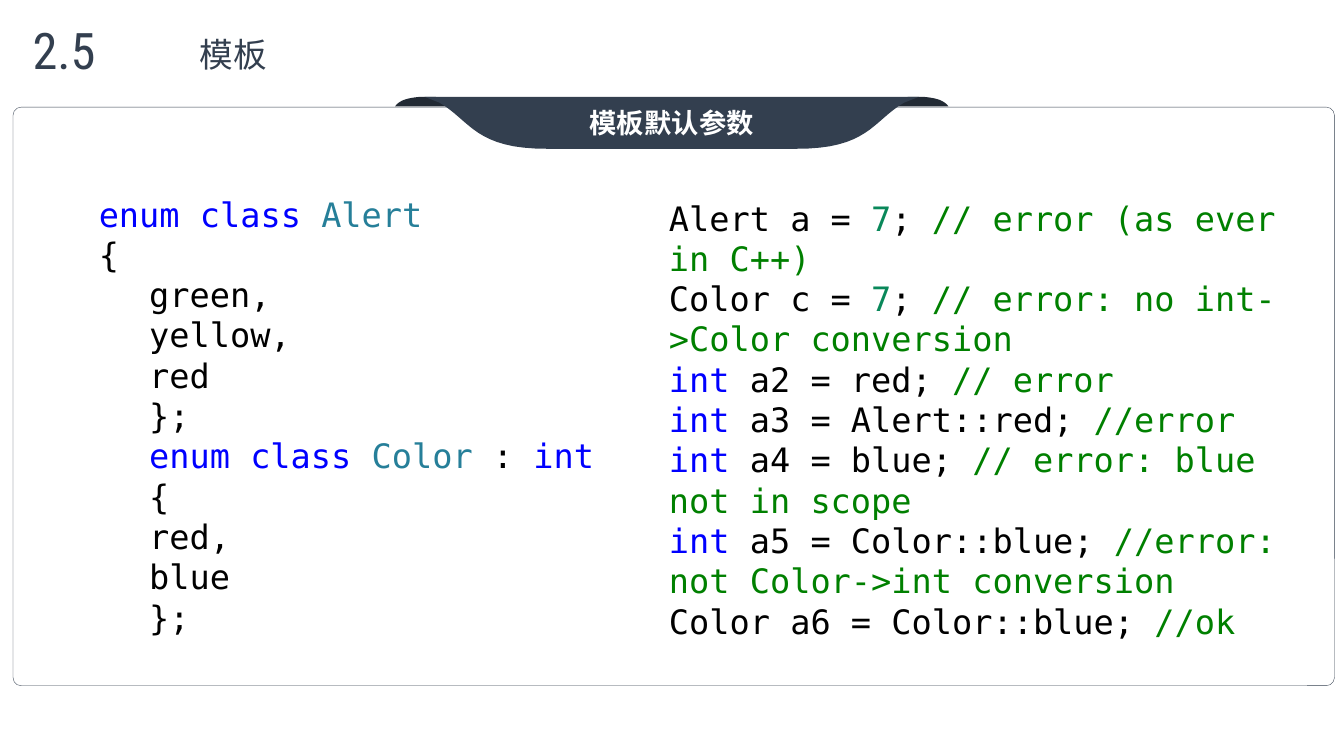
from pptx import Presentation
from pptx.dml.color import RGBColor
from pptx.enum.shapes import MSO_SHAPE
from pptx.enum.text import MSO_ANCHOR, PP_ALIGN
from pptx.oxml.ns import qn
from pptx.util import Cm, Pt
from lxml import etree

ROUND = MSO_SHAPE.ROUNDED_RECTANGLE
MIDDLE = MSO_ANCHOR.MIDDLE
LEFT, CENTER = PP_ALIGN.LEFT, PP_ALIGN.CENTER

NAVY = RGBColor(0x33, 0x3F, 0x4F)
DARK = RGBColor(0x22, 0x2A, 0x34)
WHITE = RGBColor(0xFF, 0xFF, 0xFF)
BLACK = RGBColor(0x00, 0x00, 0x00)
BLUE = RGBColor(0x00, 0x00, 0xFF)
TEAL = RGBColor(0x26, 0x7F, 0x99)
GREEN = RGBColor(0x00, 0x80, 0x00)
JADE = RGBColor(0x09, 0x88, 0x5A)

MONO = "DejaVu Sans Mono"
HAN = "Noto Sans CJK SC"
ROBOTO = "Roboto Condensed"

ENUMS = [
    [("enum class ", BLUE), ("Alert", TEAL)],
    [("{", BLACK)],
    [("green,", BLACK)],
    [("yellow,", BLACK)],
    [("red", BLACK)],
    [("};", BLACK)],
    [("enum class ", BLUE), ("Color", TEAL), (" : ", BLACK), ("int", BLUE)],
    [("{", BLACK)],
    [("red,", BLACK)],
    [("blue", BLACK)],
    [("};", BLACK)],
]
USES = [
    [("Alert a = ", BLACK), ("7", JADE), ("; ", BLACK),
     ("// error (as ever in C++)", GREEN)],
    [("Color c = ", BLACK), ("7", JADE), ("; ", BLACK),
     ("// error: no int->Color conversion", GREEN)],
    [("int", BLUE), (" a2 = red; ", BLACK), ("// error", GREEN)],
    [("int", BLUE), (" a3 = Alert::red; ", BLACK), ("//error", GREEN)],
    [("int", BLUE), (" a4 = blue; ", BLACK),
     ("// error: blue not in scope", GREEN)],
    [("int", BLUE), (" a5 = Color::blue; ", BLACK),
     ("//error: not Color->int conversion", GREEN)],
    [("Color a6 = Color::blue; ", BLACK), ("//ok", GREEN)],
]


def style(para, size, name, color, align=LEFT, bold=False):
    """Set the font of a paragraph, for Latin and East Asian text."""
    para.alignment = align
    font = para.font
    font.size, font.name, font.bold = Pt(size), name, bold
    font.color.rgb = color
    props = para._p.pPr.find(qn("a:defRPr"))
    etree.SubElement(props, qn("a:ea")).set("typeface", name)


def add_box(slide, left, top, width, height):
    """Add a wrapping text box and return its frame."""
    box = slide.shapes.add_textbox(Cm(left), Cm(top), Cm(width), Cm(height))
    box.text_frame.word_wrap = True
    return box.text_frame


def add_head(slide, left, top):
    """Place the section number and the title beside it."""
    num = add_box(slide, left, top, 1.75, 1.55)
    num.margin_left = num.margin_right = 0
    num.margin_top = num.margin_bottom = 0
    title = add_box(slide, left + 2, top + 0.25, 6.27, 1.27)
    for frame, text, size, name in ((num, "2.5", 36, ROBOTO),
                                    (title, "模板", 24, HAN)):
        para = frame.paragraphs[0]
        para.text = text
        style(para, size, name, NAVY, CENTER)


def add_frame(slide, left, top, width, height):
    """Draw the thin rounded frame."""
    frame = slide.shapes.add_shape(ROUND, Cm(left), Cm(top),
                                   Cm(width), Cm(height))
    frame.shadow.inherit = False
    frame.adjustments[0] = 0.014
    frame.fill.background()
    frame.line.color.rgb = NAVY
    frame.line.width = Pt(0.25)


def curve(start, one, two, end, steps=16):
    """Return points along a cubic curve."""
    points = []
    for i in range(steps + 1):
        t = i / steps
        u = 1 - t
        parts = (u ** 3, 3 * u * u * t, 3 * u * t * t, t ** 3)
        points.append(tuple(
            sum(p * c[k] for p, c in zip(parts, (start, one, two, end)))
            for k in (0, 1)))
    return points


def mirror(points, width):
    """Reflect points across the middle of a width."""
    return [(width - x, y) for x, y in reversed(points)]


def add_free(slide, left, top, points, color):
    """Draw a filled outline whose points are relative to a corner."""
    spots = [(Cm(left + x), Cm(top + y)) for x, y in points]
    pen = slide.shapes.build_freeform(*spots[0])
    pen.add_line_segments(spots[1:], close=True)
    shape = pen.convert_to_shape()
    shape.shadow.inherit = False
    shape.fill.solid()
    shape.fill.fore_color.rgb = color
    shape.line.fill.background()
    return shape


def add_ribbon(slide, left, top, width, text):
    """Place the ribbon: two folded ears behind a labelled band."""
    ear = (curve((0, 0.24), (0.1, 0.1), (0.28, 0.03), (0.64, 0))
           + curve((0.99, 0), (1.19, 0.03), (1.4, 0.1), (1.5, 0.24)))
    side = [(0.74, 0)] + curve((1.12, 0.15), (1.9, 0.61),
                               (2.03, 1.32), (3.84, 1.31))
    add_free(slide, left, top, ear, DARK)
    add_free(slide, left, top, mirror(ear, width), DARK)
    band = add_free(slide, left, top, side + mirror(side, width), NAVY)
    frame = band.text_frame
    frame.vertical_anchor = MIDDLE
    para = frame.paragraphs[0]
    para.text = text
    style(para, 19.5, HAN, WHITE, CENTER, True)


def add_code(slide, left, top, lines, inner=None):
    """Place coloured code, indented from line number inner on."""
    frame = add_box(slide, left, top, 16.94, 11.53)
    for i, line in enumerate(lines):
        para = frame.paragraphs[0] if i == 0 else frame.add_paragraph()
        if inner is not None and i >= inner:
            props = para._p.get_or_add_pPr()
            props.set("marL", str(Cm(1.27)))
            props.set("indent", "0")
        style(para, 24, MONO, BLACK)
        for text, color in line:
            run = para.add_run()
            run.text = text
            if color != BLACK:
                run.font.color.rgb = color


def main():
    """Build the slide and save it."""
    deck = Presentation()
    deck.slide_width, deck.slide_height = Cm(33.87), Cm(19.05)
    slide = deck.slides.add_slide(deck.slide_layouts[6])
    add_head(slide, 0.74, 0.48)
    add_frame(slide, 0.33, 2.7, 33.3, 14.58)
    add_ribbon(slide, 9.96, 2.44, 13.94, "模板默认参数")
    add_code(slide, 2.24, 4.75, ENUMS, 2)
    add_code(slide, 16.61, 4.85, USES)
    deck.save("out.pptx")


if __name__ == "__main__":
    main()
